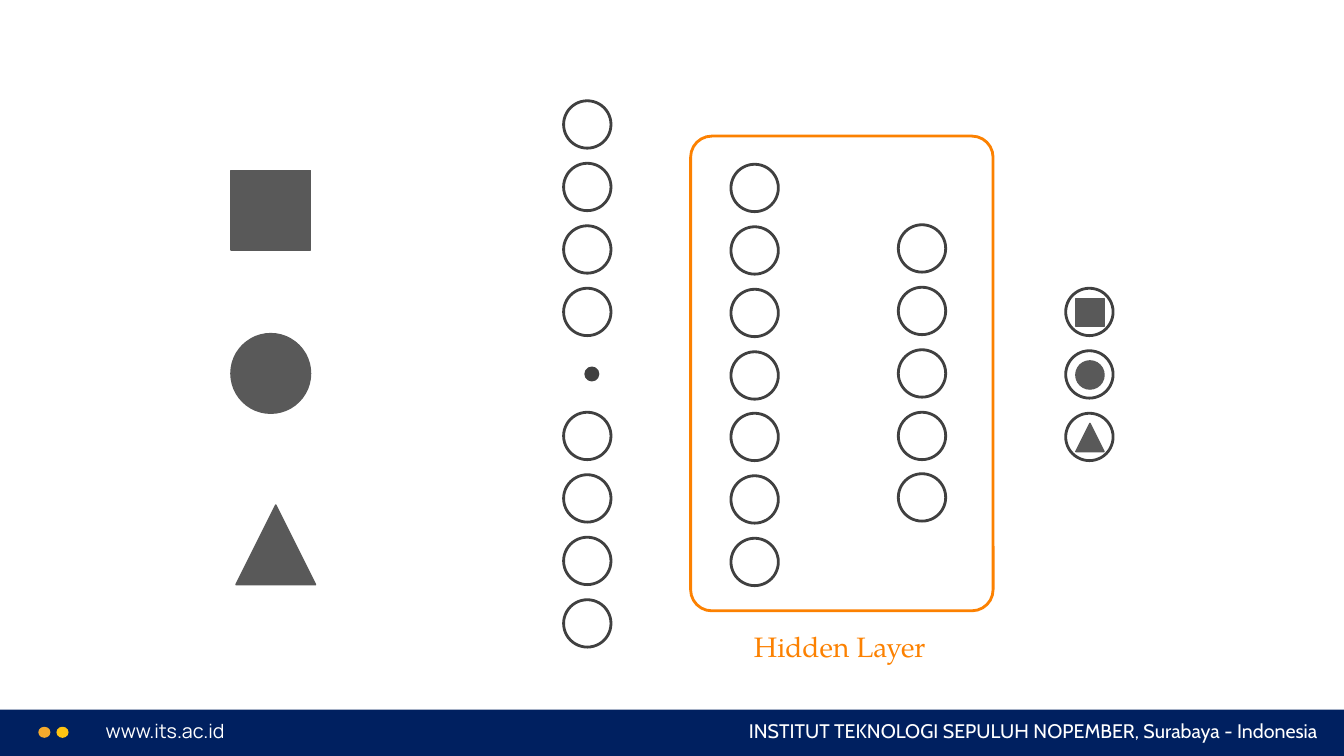
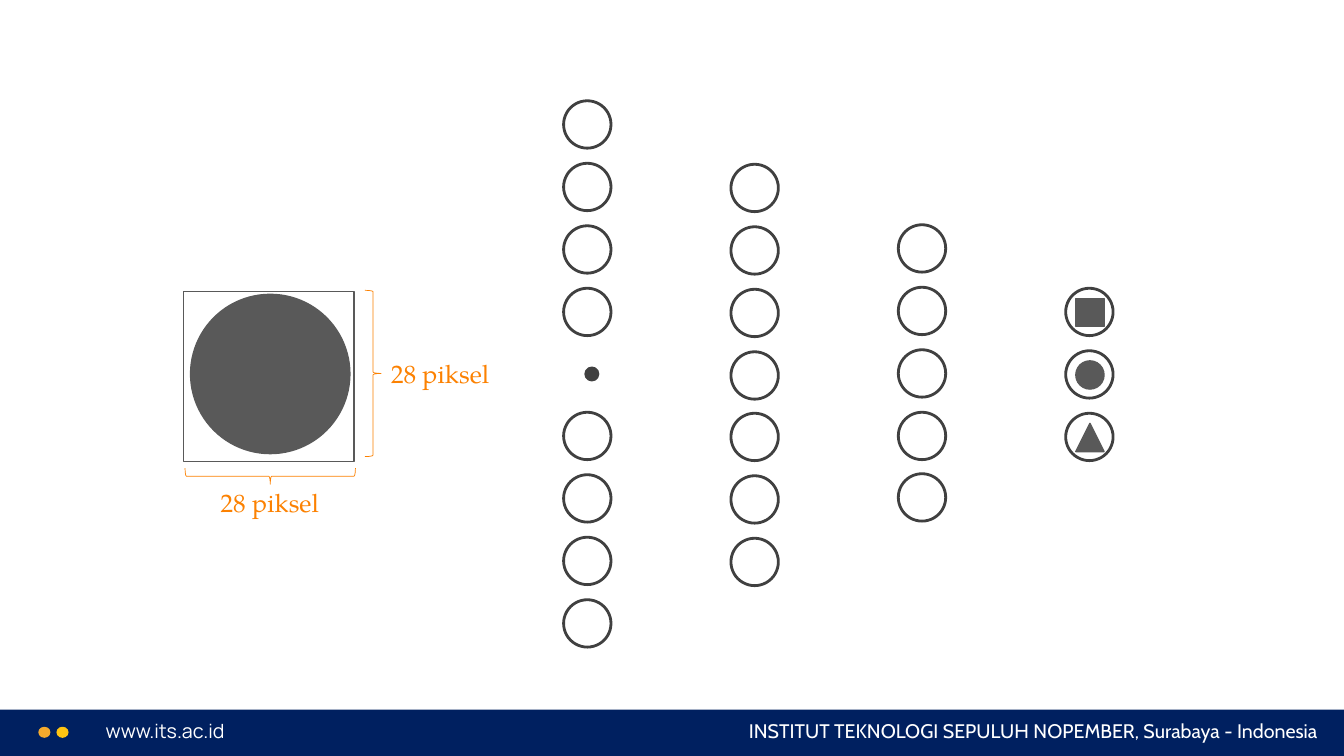
from dataclasses import dataclass

from pptx import Presentation
from pptx import util as u
from pptx.dml.color import RGBColor
from pptx.enum import shapes, text

PX = u.Inches(0.01)
SHAPE = shapes.MSO_SHAPE
ALIGN = text.PP_ALIGN


@dataclass(frozen=True)
class Theme:
    navy: str = "002060"
    white: str = "FFFFFF"
    amber: str = "F5AA2D"
    yellow: str = "FFC411"
    orange: str = "FC8101"
    outline: str = "404040"
    solid: str = "595959"
    label_font: str = "TeX Gyre Pagella"
    url_font: str = "Manrope"
    name_font: str = "Cabin"
    footer_size: int = 14
    pixel_size: int = 18
    layer_size: int = 20
    hairline: float = 0.5
    thin: int = 1
    thick: int = 2


T = Theme()
WIDTH, HEIGHT = 1333, 750
NEURON = 47
PITCH = 61.85
INPUT_X, HIDDEN_XS, OUTPUT_X = 559, (725, 891), 1057
SYMBOLS = (SHAPE.RECTANGLE, SHAPE.OVAL, SHAPE.ISOSCELES_TRIANGLE)


def px(*lengths):
    return [u.Emu(n * PX) for n in lengths]


def add_figure(slide, kind, box, fill=None, line=None, weight=T.thin):
    sp = slide.shapes.add_shape(kind, *px(*box))
    sp.shadow.inherit = False
    if fill:
        sp.fill.solid()
        sp.fill.fore_color.rgb = RGBColor.from_string(fill)
    else:
        sp.fill.background()
    if line:
        sp.line.color.rgb = RGBColor.from_string(line)
        sp.line.width = u.Pt(weight)
    else:
        sp.line.fill.background()
    return sp


def add_text(slide, box, words, font, size, color, align=ALIGN.LEFT, wrap=False):
    sp = slide.shapes.add_textbox(*px(*box))
    tf = sp.text_frame
    tf.word_wrap = wrap
    tf.auto_size = text.MSO_AUTO_SIZE.SHAPE_TO_FIT_TEXT
    p = tf.paragraphs[0]
    p.alignment = align
    r = p.add_run()
    r.text = words
    for name, value in {"name": font, "size": u.Pt(size)}.items():
        setattr(r.font, name, value)
    r.font.color.rgb = RGBColor.from_string(color)
    return sp


def add_label(slide, box, words, size):
    add_text(slide, box, words, T.label_font, size, T.orange)


def add_symbol(slide, kind, x, y, size):
    add_figure(slide, kind, (x, y, size, size), T.solid, T.solid)


def add_neurons(slide, x, top, count, skip=None):
    for i in range(count):
        if i != skip:
            add_figure(slide, SHAPE.OVAL, (x, top + round(i * PITCH), NEURON, NEURON),
                       line=T.outline, weight=T.thick)


def add_network(slide):
    add_neurons(slide, INPUT_X, 100, 9, skip=4)
    add_figure(slide, SHAPE.OVAL, (581, 365, 12, 12), T.outline, T.outline, T.thick)
    for x, top, count in zip(HIDDEN_XS, (163, 223), (7, 5)):
        add_neurons(slide, x, top, count)
    add_neurons(slide, OUTPUT_X, 286, len(SYMBOLS))
    for i, kind in enumerate(SYMBOLS):
        add_symbol(slide, kind, OUTPUT_X + 10, 296 + round(i * PITCH), 28)


def move_to_layout(slide, layout):
    """Make everything drawn so far part of the shared layout."""
    for holder in list(layout.placeholders):
        layout.shapes.element.remove(holder.element)
    for sp in list(slide.shapes):
        layout.shapes.element.append(sp.element)


def add_footer(slide):
    add_figure(slide, SHAPE.RECTANGLE, (0, 704, WIDTH + 1, HEIGHT - 704), T.navy)
    add_text(slide, (95, 708, 428, 34), "www.its.ac.id",
             T.url_font, T.footer_size, T.white, wrap=True)
    for x, color in ((38, T.amber), (56, T.yellow)):
        add_figure(slide, SHAPE.OVAL, (x, 721, 12, 11), color)
    add_text(slide, (591, 708, 726, 34),
             "INSTITUT TEKNOLOGI SEPULUH NOPEMBER, Surabaya - Indonesia",
             T.name_font, T.footer_size, T.white, ALIGN.RIGHT, wrap=True)


def build_hidden_layer(slide):
    add_network(slide)
    for kind, x, y in zip(SYMBOLS, (229, 229, 234), (169, 331, 501)):
        add_symbol(slide, kind, x, y, 79)
    add_label(slide, (738, 620, 194, 44), "Hidden Layer", T.layer_size)
    frame = add_figure(slide, SHAPE.ROUNDED_RECTANGLE, (685, 135, 300, 471),
                       line=T.orange, weight=T.thick)
    frame.adjustments[0] = 0.07


def build_input_pixels(slide):
    add_network(slide)
    add_symbol(slide, SHAPE.OVAL, 189, 292, 158)
    for brace_box, angle, label_box in (
        ((362, 288, 16, 165), 0, (378, 351, 119, 40)),
        ((260, 388, 16, 169), 90, (209, 479, 122, 40)),
    ):
        brace = add_figure(slide, SHAPE.RIGHT_BRACE, brace_box,
                           line=T.orange, weight=T.hairline)
        brace.rotation = angle
        add_label(slide, label_box, "28 piksel", T.pixel_size)
    add_figure(slide, SHAPE.RECTANGLE, (182, 289, 169, 169), line=T.solid)


def main():
    prs = Presentation()
    prs.slide_width, prs.slide_height = px(WIDTH, HEIGHT)
    layout = prs.slide_layouts[6]
    hidden, pixels = (prs.slides.add_slide(layout) for _ in range(2))
    add_footer(hidden)
    move_to_layout(hidden, layout)
    build_hidden_layer(hidden)
    build_input_pixels(pixels)
    prs.save("out.pptx")


if __name__ == "__main__":
    main()
